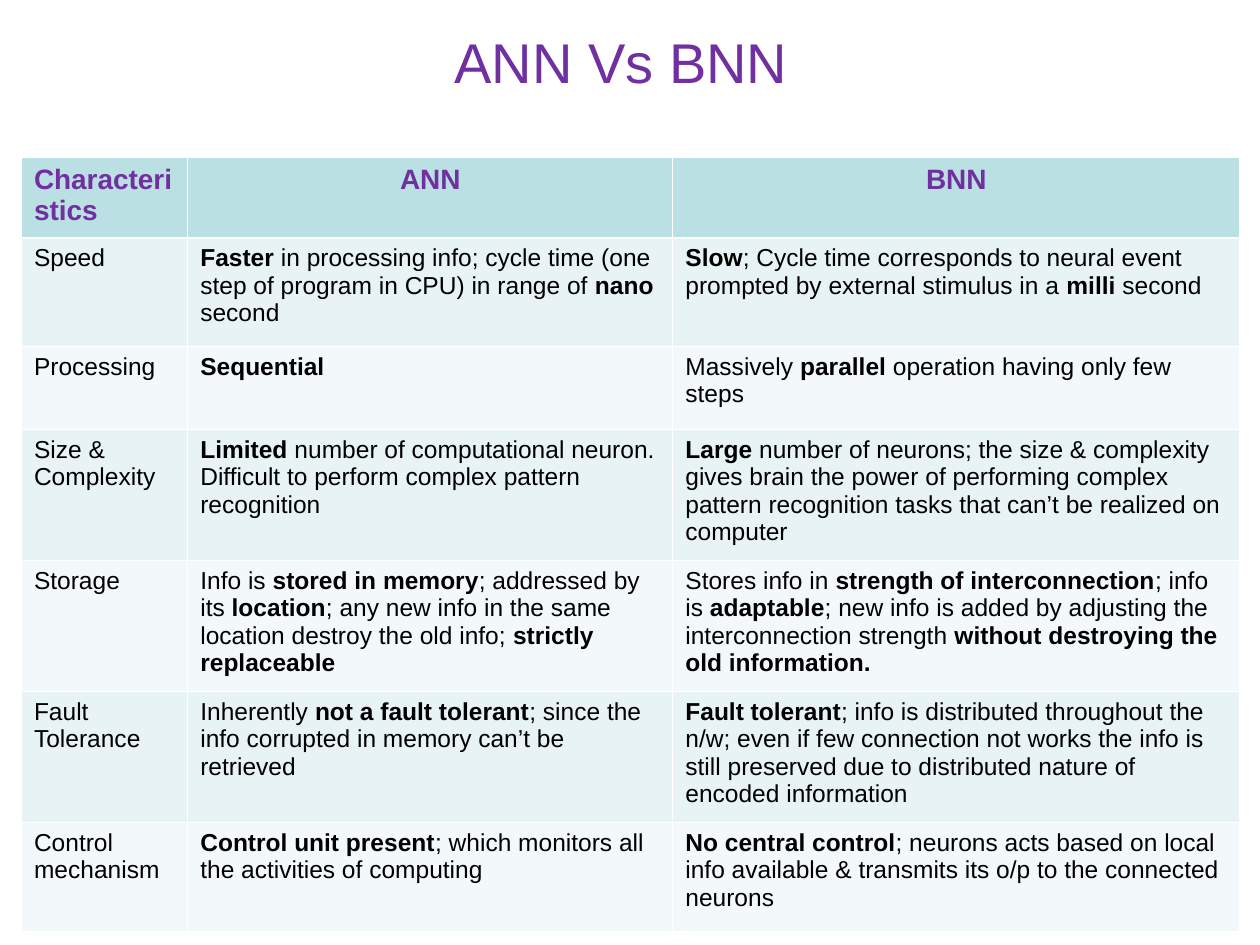
from lxml import etree
from pptx import Presentation
from pptx import util as u
from pptx.dml.color import RGBColor
from pptx.enum import text
from pptx.oxml import ns

Inches, Pt = u.Inches, u.Pt

PURPLE = RGBColor(0x70, 0x30, 0xA0)
BLACK = RGBColor(0, 0, 0)
WHITE = RGBColor(0xFF, 0xFF, 0xFF)
HEADER_FILL = RGBColor(0xBB, 0xE0, 0xE3)
BAND_FILLS = RGBColor(0xE7, 0xF3, 0xF4), RGBColor(0xF3, 0xF9, 0xFA)

THIN, THICK = 0.45, 1.47
COLUMN_WIDTHS = 1.32, 3.85, 4.5
ROW_HEIGHTS = 0.64, 0.86, 0.66, 1.04, 1.04, 1.04, 0.86

# Asterisk pairs enclose bold words
ROWS = [
    ("*Characteristics*", "*ANN*", "*BNN*"),
    ("Speed",
     "*Faster* in processing info; cycle time (one step of program in CPU) "
     "in range of *nano *second",
     "*Slow*; Cycle time corresponds to neural event prompted by external "
     "stimulus in a *milli* second"),
    ("Processing",
     "*Sequential*",
     "Massively *parallel *operation having only few steps"),
    ("Size & Complexity",
     "*Limited* number of computational neuron. Difficult to perform complex "
     "pattern recognition",
     "*Large* number of neurons; the size & complexity gives brain the power "
     "of performing complex pattern recognition tasks that can’t be realized "
     "on computer"),
    ("Storage",
     "Info is *stored in memory*; addressed by its *location*; any new info "
     "in the same location destroy the old info; *strictly replaceable*",
     "Stores info in *strength of interconnection*; info is *adaptable*; new "
     "info is added by adjusting the interconnection strength *without "
     "destroying the old information.*"),
    ("Fault Tolerance",
     "Inherently *not a fault tolerant*; since the info corrupted in memory "
     "can’t be retrieved",
     "*Fault tolerant*; info is distributed throughout the n/w; even if few "
     "connection not works the info is still preserved due to distributed "
     "nature of encoded information"),
    ("Control mechanism",
     "*Control unit present*; which monitors all the activities of computing",
     "*No central control*; neurons acts based on local info available & "
     "transmits its o/p to the connected neurons"),
]


def write_text(frame, words, size=14, color=BLACK, align=text.PP_ALIGN.LEFT):
    """Fill a text frame, setting the words between asterisks in bold."""
    para = frame.paragraphs[0]
    para.alignment = align
    for index, part in enumerate(words.split("*")):
        if part:
            span = para.add_run()
            span.text = part
            span.font.name = "Arial"
            span.font.size = Pt(size)
            span.font.color.rgb = color
            span.font.bold = index % 2 == 1


def set_borders(cell, **widths):
    """Draw white cell borders; they must come before the fill in the XML."""
    properties = cell._tc.get_or_add_tcPr()
    for index, (side, width) in enumerate(widths.items()):
        line = etree.Element(ns.qn(f"a:ln{side}"), w=str(int(Pt(width))))
        fill = etree.SubElement(line, ns.qn("a:solidFill"))
        etree.SubElement(fill, ns.qn("a:srgbClr"), val=str(WHITE))
        properties.insert(index, line)


def add_title(page, left, top, width, height):
    box = page.shapes.title
    box.left, box.top, box.width, box.height = left, top, width, height
    frame = box.text_frame
    # Without side margins the title fits its box on one line
    frame.margin_left = frame.margin_right = 0
    frame.word_wrap = True
    frame.auto_size = text.MSO_AUTO_SIZE.NONE
    frame.vertical_anchor = text.MSO_ANCHOR.TOP
    write_text(frame, "ANN Vs BNN", size=32, color=PURPLE,
               align=text.PP_ALIGN.CENTER)


def add_comparison(page, left, top, width, height):
    table = page.shapes.add_table(len(ROWS), len(COLUMN_WIDTHS),
                                  left, top, width, height).table
    for column, column_width in zip(table.columns, COLUMN_WIDTHS):
        column.width = Inches(column_width)
    for r, (row, row_height) in enumerate(zip(ROWS, ROW_HEIGHTS)):
        table.rows[r].height = Inches(row_height)
        for c, words in enumerate(row):
            cell = table.cell(r, c)
            cell.fill.solid()
            if r == 0:
                cell.fill.fore_color.rgb = HEADER_FILL
                align = text.PP_ALIGN.CENTER if c else text.PP_ALIGN.LEFT
                write_text(cell.text_frame, words, size=16, color=PURPLE,
                           align=align)
            else:
                cell.fill.fore_color.rgb = BAND_FILLS[(r - 1) % 2]
                write_text(cell.text_frame, words)
            # A heavier rule separates the header from the body
            set_borders(cell, L=THIN, R=THIN, T=THICK if r == 1 else THIN,
                        B=THICK if r == 0 else THIN)


def main():
    deck = Presentation()
    deck.slide_width, deck.slide_height = Inches(10), Inches(7.5)
    page = deck.slides.add_slide(deck.slide_layouts[5])
    add_title(page, Inches(3.51), Inches(0.17), Inches(2.84), Inches(0.64))
    add_comparison(page, Inches(0.17), Inches(1.25),
                   Inches(sum(COLUMN_WIDTHS)), Inches(sum(ROW_HEIGHTS)))
    deck.save("out.pptx")


if __name__ == "__main__":
    main()
